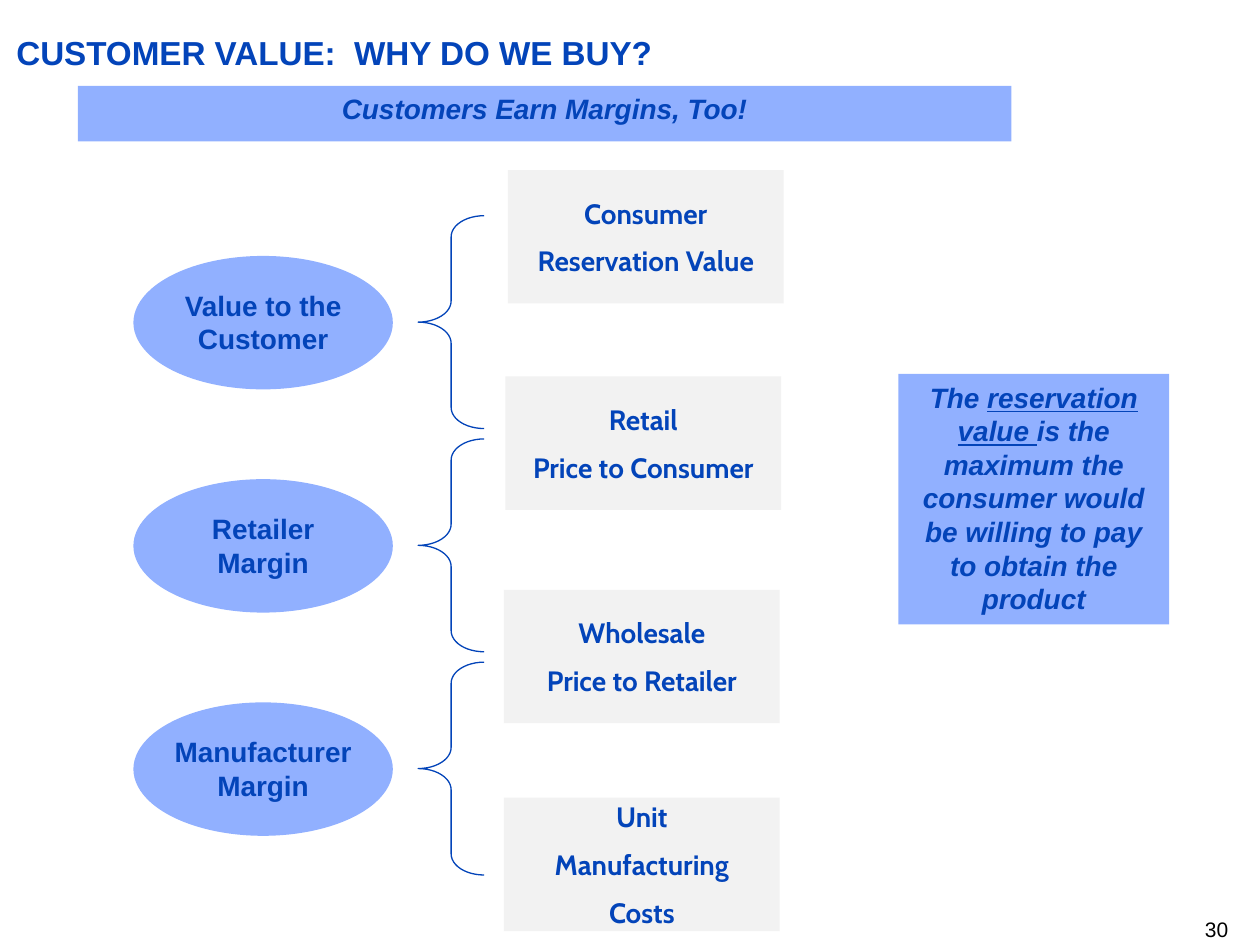
"""Builds the customer value slide: margins between successive price levels."""
from dataclasses import dataclass

from pptx import Presentation
from pptx.dml.color import RGBColor
from pptx.enum.shapes import MSO_SHAPE as Shape
from pptx.enum.text import MSO_ANCHOR as Anchor, PP_ALIGN as Align
from pptx.util import Cm, Pt

BLUE = RGBColor(0x03, 0x44, 0xB9)
LIGHT_BLUE = RGBColor(0x91, 0xB0, 0xFF)
GRAY = RGBColor(0xF2, 0xF2, 0xF2)
BLACK = RGBColor(0, 0, 0)

STEP = 4.5
OVAL_TOP, BRACE_TOP = 5.16, 4.35
OVAL_LEFT, OVAL_W, BLOCK_H = 2.69, 5.23, 2.69
LEVEL_W = 5.56
LABEL_H = 1.63


@dataclass
class Style:
    """Character and paragraph formatting of a text."""
    font: str = "Arial"
    size: float = 16
    color: RGBColor = BLUE
    bold: bool = True
    italic: bool = False
    align: Align = Align.CENTER


@dataclass
class Level:
    """A price level in the right-hand column."""
    left: float
    top: float
    lines: list[str]


@dataclass
class Margin:
    """A margin between two levels, with the width of its label."""
    text: str
    label_w: float


LEVELS = [
    Level(10.24, 3.43, ["Consumer", "Reservation Value"]),
    Level(10.19, 7.59, ["Retail", "Price to Consumer"]),
    Level(10.16, 11.89, ["Wholesale", "Price to Retailer"]),
    Level(10.16, 16.08, ["Unit", "Manufacturing", "Costs"]),
]
MARGINS = [
    Margin("Value to the Customer", 4.42),
    Margin("Retailer Margin", 3.61),
    Margin("Manufacturer Margin", 4.42),
]
EMPHASIS = Style(italic=True)


def write(tf, lines: list[str], style: Style) -> None:
    """Fill a text frame with one styled paragraph per line."""
    for i, line in enumerate(lines):
        p = tf.paragraphs[0] if i == 0 else tf.add_paragraph()
        p.text = line
        p.alignment = style.align
        if i:
            p.space_before = Pt(8)
        f = p.font
        f.name, f.size, f.bold, f.italic = style.font, Pt(style.size), style.bold, style.italic
        f.color.rgb = style.color


def add_block(shapes, kind: Shape, left: float, top: float, width: float, height: float,
              fill: RGBColor):
    """Add a filled shape without outline or shadow."""
    sp = shapes.add_shape(kind, Cm(left), Cm(top), Cm(width), Cm(height))
    sp.shadow.inherit = False
    sp.fill.solid()
    sp.fill.fore_color.rgb = fill
    sp.line.fill.background()
    return sp


def add_text(shapes, left: float, top: float, width: float, height: float,
             text: str, style: Style, inset: bool = False) -> None:
    """Add a wrapping text box, with or without default insets."""
    tf = shapes.add_textbox(Cm(left), Cm(top), Cm(width), Cm(height)).text_frame
    tf.word_wrap = True
    if not inset:
        tf.margin_left = tf.margin_right = tf.margin_top = tf.margin_bottom = 0
    write(tf, [text], style)


def add_level(shapes, level: Level) -> None:
    """Add the box of a price level."""
    sp = add_block(shapes, Shape.RECTANGLE, level.left, level.top, LEVEL_W, BLOCK_H, GRAY)
    tf = sp.text_frame
    tf.word_wrap = False
    tf.vertical_anchor = Anchor.MIDDLE
    write(tf, level.lines, Style(font="Cabin"))


def add_margin(shapes, margin: Margin, row: int) -> None:
    """Add a margin oval with its label and the brace beside it."""
    brace = shapes.add_shape(Shape.LEFT_BRACE, Cm(8.43), Cm(BRACE_TOP + row * STEP),
                             Cm(1.33), Cm(4.29))
    brace.shadow.inherit = False
    brace.adjustments[0] = 0.32
    brace.fill.background()
    brace.line.color.rgb = BLUE
    brace.line.width = Pt(0.75)

    top = OVAL_TOP + row * STEP
    group = shapes.add_group_shape().shapes
    add_block(group, Shape.OVAL, OVAL_LEFT, top, OVAL_W, BLOCK_H, LIGHT_BLUE)
    add_text(group, OVAL_LEFT + (OVAL_W - margin.label_w) / 2, top + (BLOCK_H - LABEL_H) / 2,
             margin.label_w, LABEL_H, margin.text, Style(), inset=True)


def add_definition(shapes) -> None:
    """Add the definition of the reservation value, with the term underlined."""
    tf = add_block(shapes, Shape.RECTANGLE, 18.11, 7.54, 5.46, 5.05, LIGHT_BLUE).text_frame
    tf.word_wrap = True
    tf.vertical_anchor = Anchor.TOP
    write(tf, [""], EMPHASIS)
    p = tf.paragraphs[0]
    for text, underline in (
        ("The ", False),
        ("reservation value ", True),
        ("is the maximum the consumer would be willing to pay to obtain the product", False),
    ):
        r = p.add_run()
        r.text = text
        r.font.underline = underline


def main() -> None:
    """Build and save the slide."""
    prs = Presentation()
    prs.slide_width, prs.slide_height = Cm(25.4), Cm(19.05)
    s = prs.slides.add_slide(prs.slide_layouts[6])
    shapes = s.shapes

    add_text(shapes, 19.48, 18.47, 5.28, 0.51, "30",
             Style(size=12, color=BLACK, bold=False, align=Align.RIGHT))
    add_text(shapes, 0.33, 0.66, 24.43, 0.81, "CUSTOMER VALUE:  WHY DO WE BUY?",
             Style(size=19, align=Align.LEFT))
    banner = add_block(shapes, Shape.RECTANGLE, 1.57, 1.73, 18.82, 1.12, LIGHT_BLUE)
    banner.text_frame.vertical_anchor = Anchor.TOP
    write(banner.text_frame, ["Customers Earn Margins, Too!"], EMPHASIS)

    for level in LEVELS:
        add_level(shapes, level)
    add_definition(shapes)
    for row, margin in enumerate(MARGINS):
        add_margin(shapes, margin, row)

    prs.save("out.pptx")


if __name__ == "__main__":
    main()
